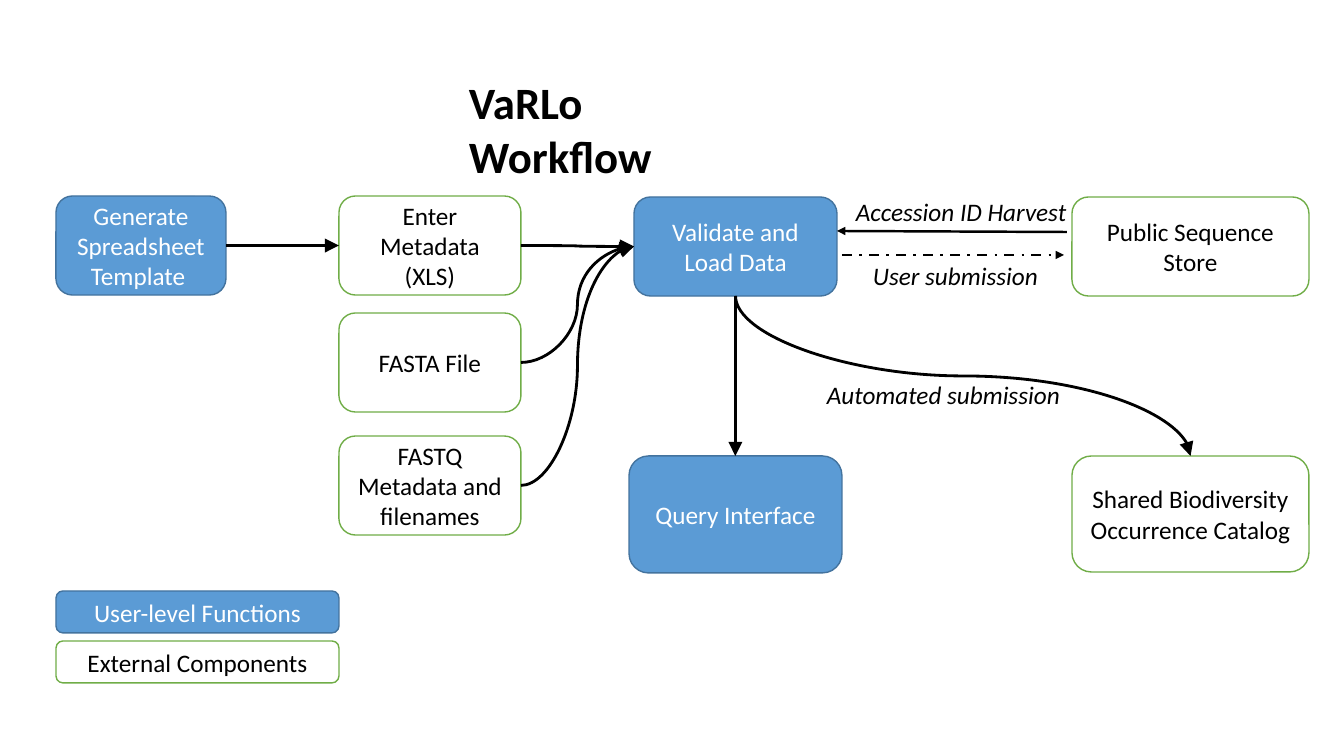
import lxml.etree
import pptx
import pptx.dml.color
import pptx.enum.dml
import pptx.enum.shapes
import pptx.enum.text
import pptx.oxml.ns
import pptx.util

SCALE = 12192000 / 1344
BLACK, WHITE = "000000", "FFFFFF"
USER = {"fill": "5B9BD5", "line": "43739E", "text": WHITE}
OUTER = {"fill": WHITE, "line": "70AD47", "text": BLACK}
TOP, LEFT, BOTTOM, RIGHT = range(4)


def px(size):
    return pptx.util.Emu(round(size * SCALE))


def color(code):
    return pptx.dml.color.RGBColor.from_string(code)


def apply(item, values):
    for name, value in values.items():
        setattr(item, name, value)


def write(frame, text, ink, size=18, **style):
    run = frame.paragraphs[0].add_run()
    run.text = text
    apply(run.font, {"name": "Calibri", "size": pptx.util.Pt(size), **style})
    run.font.color.rgb = color(ink)


def box(slide, text, look, area):
    kind = pptx.enum.shapes.MSO_SHAPE.ROUNDED_RECTANGLE
    shape = slide.shapes.add_shape(kind, *map(px, area))
    shape.shadow.inherit = False
    shape.fill.solid()
    shape.fill.fore_color.rgb = color(look["fill"])
    shape.line.color.rgb = color(look["line"])
    shape.line.width = pptx.util.Pt(1)
    frame = shape.text_frame
    apply(frame, {"word_wrap": True,
                  "vertical_anchor": pptx.enum.text.MSO_ANCHOR.MIDDLE})
    frame.paragraphs[0].alignment = pptx.enum.text.PP_ALIGN.CENTER
    write(frame, text, look["text"])
    return shape


def label(slide, text, area, wrap=False, inset=10, **style):
    frame = slide.shapes.add_textbox(*map(px, area)).text_frame
    apply(frame, {"word_wrap": wrap, "margin_right": px(inset)})
    write(frame, text, BLACK, **style)


def arrow(slide, kind, ends, width):
    line = slide.shapes.add_connector(kind, *map(px, ends))
    line.line.color.rgb = color(BLACK)
    line.line.width = pptx.util.Pt(width)
    qn = pptx.oxml.ns.qn
    lxml.etree.SubElement(line._element.spPr, qn("a:effectLst"))
    return line


def head(line, size):
    qn = pptx.oxml.ns.qn
    tail = lxml.etree.SubElement(line.line._get_or_add_ln(), qn("a:tailEnd"))
    for name, value in {"type": "triangle", "w": size, "len": size}.items():
        tail.set(name, value)


def straight(slide, ends, dash=None):
    kind = pptx.enum.shapes.MSO_CONNECTOR.STRAIGHT
    line = arrow(slide, kind, ends, 1.75)
    if dash:
        line.line.dash_style = dash
    head(line, "med")


def curve(slide, start, out, end, into):
    kind = pptx.enum.shapes.MSO_CONNECTOR.CURVE
    line = arrow(slide, kind, (0, 0, 0, 0), 2)
    line.begin_connect(start, out)
    line.end_connect(end, into)
    if out == BOTTOM:
        turn(line)
    head(line, "lg")


def turn(line):
    wide, high = line.width, line.height
    shift = (wide - high) // 2
    apply(line, {"left": line.left + shift, "top": line.top - shift,
                 "width": high, "height": wide})
    frame = line._element.spPr.xfrm
    frame.set("rot", str(270 * 60000))
    frame.set("flipH", "1")


def main():
    deck = pptx.Presentation()
    apply(deck, {"slide_width": px(1344), "slide_height": px(756)})
    slide = deck.slides.add_slide(deck.slide_layouts[6])

    sheet = box(slide, "Generate Spreadsheet Template ", USER,
                (56, 196, 170, 99))
    inputs = [box(slide, text, OUTER, (339, top, 182, 99))
              for text, top in (("Enter Metadata (XLS)", 196),
                                ("FASTA File", 313),
                                ("FASTQ Metadata and filenames", 436))]
    load = box(slide, "Validate and Load Data", USER, (634, 197, 203, 99))
    box(slide, "Public Sequence Store", OUTER, (1072, 197, 237, 99))
    query = box(slide, "Query Interface", USER, (629, 456, 213, 117))
    portal = box(slide, "Shared Biodiversity Occurrence Catalog", OUTER,
                 (1072, 456, 237, 116))
    box(slide, "User-level Functions", USER, (56, 591, 283, 42))
    box(slide, "External Components", OUTER, (56, 641, 283, 42))

    curve(slide, sheet, RIGHT, inputs[0], LEFT)
    for source in inputs:
        curve(slide, source, RIGHT, load, LEFT)
    for target in (query, portal):
        curve(slide, load, BOTTOM, target, TOP)
    straight(slide, (842, 255, 1064, 255),
             pptx.enum.dml.MSO_LINE.DASH_DOT)
    straight(slide, (1067, 232, 837, 231))

    label(slide, "VaRLo Workflow", (459, 70, 348, 64), wrap=True, inset=110,
          size=32, bold=True)
    for text, area in (("User submission", (863, 255, 190, 40)),
                       ("Accession ID Harvest", (846, 191, 233, 40)),
                       ("Automated submission", (817, 374, 256, 40))):
        label(slide, text, area, italic=True)
    deck.save("out.pptx")


main()
